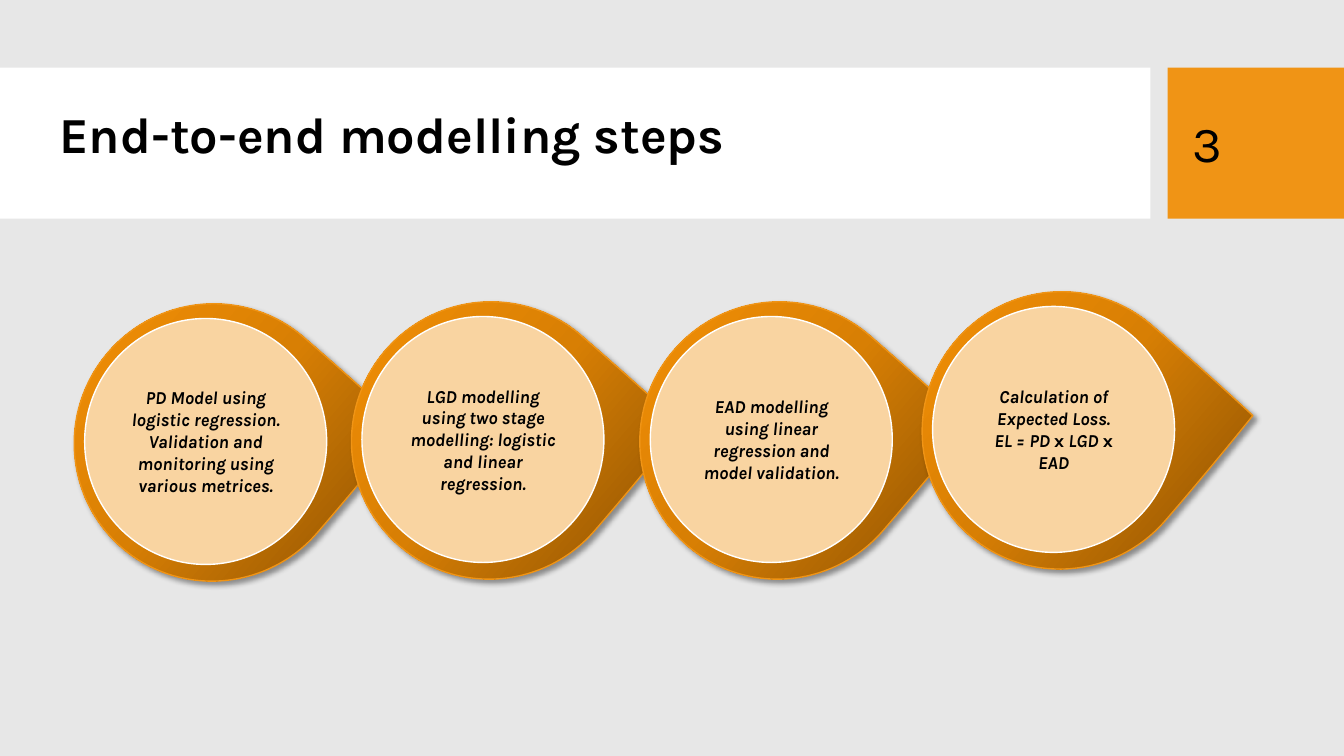
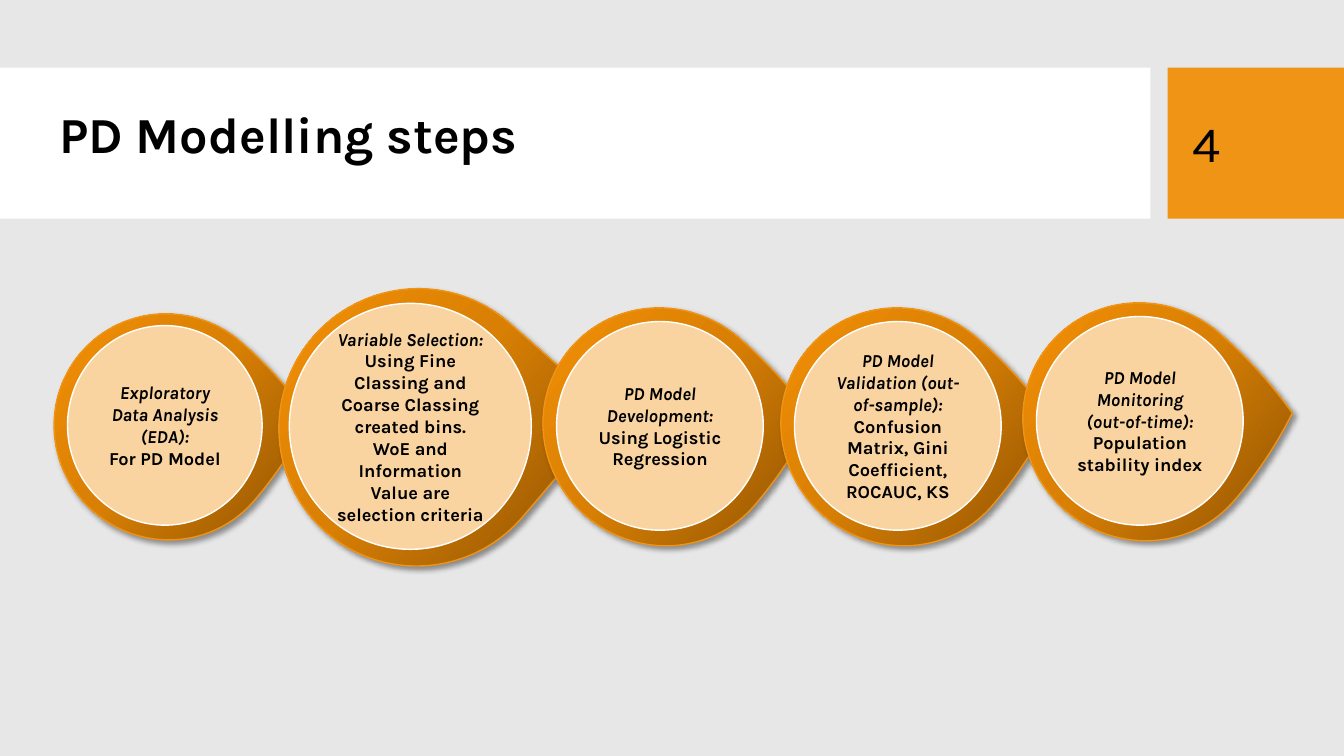
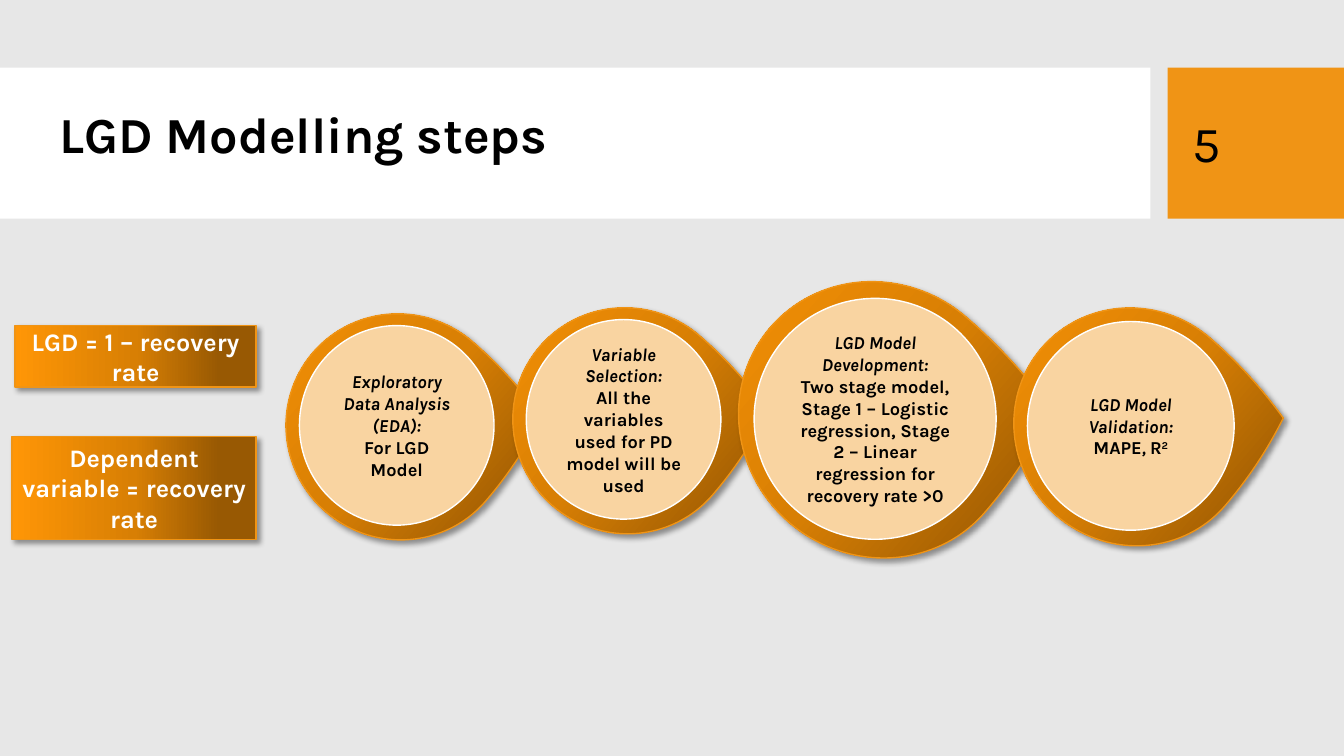
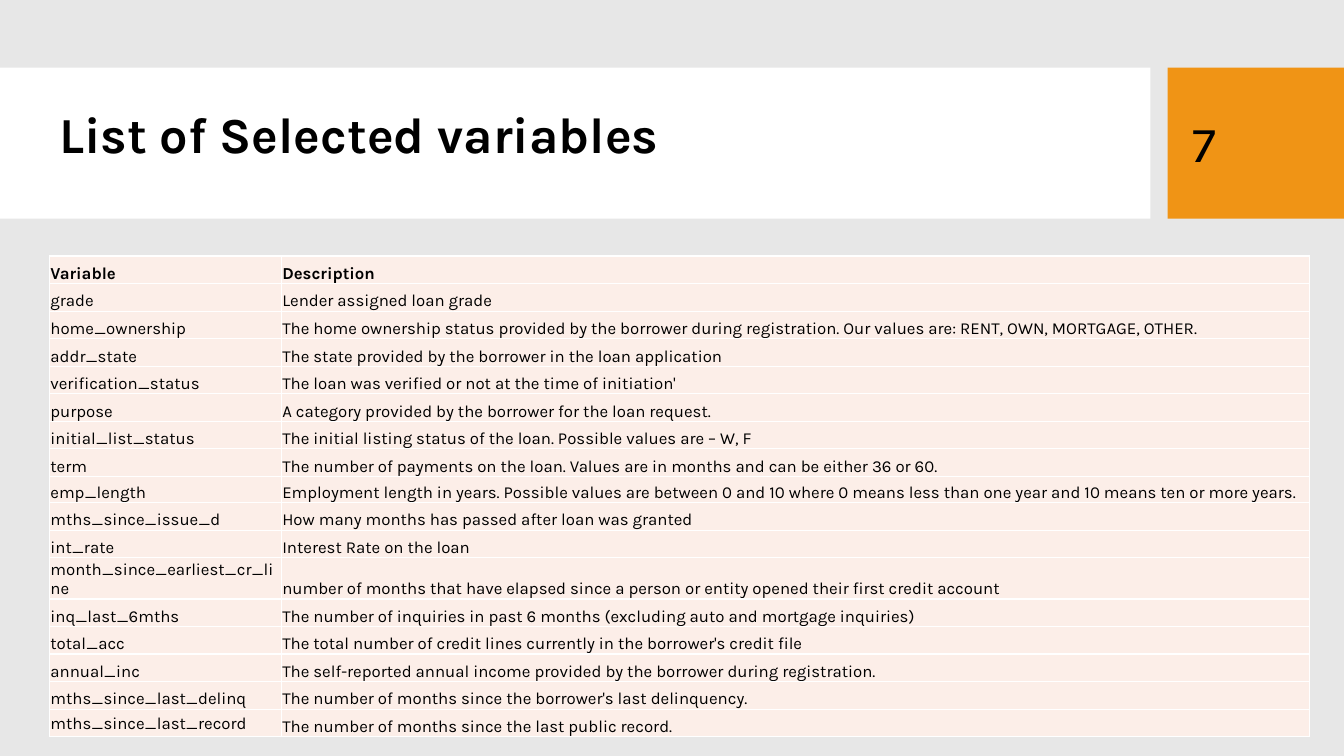
from copy import deepcopy

from lxml.etree import SubElement
from pptx import Presentation
from pptx.dml.color import RGBColor
from pptx.enum.shapes import MSO_SHAPE as Shape
from pptx.enum.text import MSO_ANCHOR as Anchor, PP_ALIGN as Align
from pptx.oxml.ns import qn
from pptx.util import Emu, Pt

EMU_PER_PX = 9144
FONT = "Karla"
BACKDROP, WHITE, BLACK = "E7E7E7", "FFFFFF", "000000"
ORANGE, PEACH, BLUSH = "F09415", "F9D4A1", "FCEEE8"
GRADIENT = [(0.15, "985903"), (0.5, "D87F04"), (1, "FF9606")]
DROP_TURN = 40.8
PLAIN, ITALIC, RAISED = "plain", "italic", "raised"

DROPS = {
    "tall": {"size": (274, 276), "tip": 0.983, "disc": (10, 15, 240, 244)},
    "small": {"size": (226, 223), "tip": 0.891, "disc": (14, 11, 193, 198)},
    "medium": {"size": (240, 233), "tip": 0.891, "disc": (15, 12, 205, 207)},
    "wide": {"size": (281, 269), "tip": 0.891, "disc": (18, 14, 240, 239)},
}


def step(heading, *details):
    return [[(heading, ITALIC)], *[[(detail, PLAIN)] for detail in details]]


FLOWS = [
    {
        "title": "End-to-end modelling steps",
        "number": 3,
        "labels": [],
        "steps": [
            ("tall", 74, 301, step("PD Model using logistic regression. Validation and monitoring using various metrices.")),
            ("tall", 349, 299, step("LGD modelling using two stage modelling: logistic and linear regression.")),
            ("tall", 635, 299, step("EAD modelling using linear regression and model validation.")),
            ("tall", 915, 289, [
                [("Calculation of Expected Loss.", ITALIC)],
                [("EL = PD ", ITALIC), ("x", PLAIN), (" LGD ", ITALIC), ("x", PLAIN), (" EAD", ITALIC)],
            ]),
        ],
    },
    {
        "title": "PD Modelling steps",
        "number": 4,
        "labels": [],
        "steps": [
            ("small", 53, 312, step("Exploratory Data Analysis (EDA):", "For PD Model")),
            ("tall", 277, 286, step(
                "Variable Selection:",
                "Using Fine Classing and Coarse Classing created bins. "
                "WoE and Information Value are selection criteria")),
            ("medium", 537, 307, step("PD Model Development:", "Using Logistic Regression")),
            ("medium", 773, 307, step(
                "PD Model Validation (out-of-sample):",
                "Confusion Matrix, Gini Coefficient, ROCAUC, KS")),
            ("medium", 1013, 302, [
                [("PD Model Monitoring", ITALIC)],
                *step("(out-of-time):", "Population stability index"),
            ]),
        ],
    },
    {
        "title": "LGD Modelling steps",
        "number": 5,
        "labels": [
            ((15, 323, 239, 61), "LGD = 1 – recovery rate"),
            ((12, 433, 242, 102), "Dependent variable = recovery rate"),
        ],
        "steps": [
            ("small", 283, 312, step("Exploratory Data Analysis (EDA):", "For LGD Model")),
            ("small", 508, 306, step("Variable Selection:", "All the variables used for PD model will be used")),
            ("wide", 730, 282, step(
                "LGD Model Development:",
                "Two stage model, Stage 1 – Logistic regression, "
                "Stage 2 – Linear regression for recovery rate >0")),
            ("medium", 1004, 307, [[
                ("LGD Model Validation: ", ITALIC), ("MAPE", PLAIN), (", ", ITALIC),
                ("R", PLAIN), ("2", RAISED),
            ]]),
        ],
    },
]

VARIABLES_TITLE, VARIABLES_NUMBER = "List of Selected variables", 7
VARIABLES = [
    ("Variable", "Description"),
    ("grade", "Lender assigned loan grade"),
    ("home_ownership", "The home ownership status provided by the borrower during registration. "
                       "Our values are: RENT, OWN, MORTGAGE, OTHER."),
    ("addr_state", "The state provided by the borrower in the loan application"),
    ("verification_status", "The loan was verified or not at the time of initiation'"),
    ("purpose", "A category provided by the borrower for the loan request."),
    ("initial_list_status", "The initial listing status of the loan. Possible values are – W, F"),
    ("term", "The number of payments on the loan. Values are in months and can be either 36 or 60."),
    ("emp_length", "Employment length in years. Possible values are between 0 and 10 where 0 means "
                   "less than one year and 10 means ten or more years."),
    ("mths_since_issue_d", "How many months has passed after loan was granted"),
    ("int_rate", "Interest Rate on the loan"),
    ("month_since_earliest_cr_line", "number of months that have elapsed since a person or entity "
                                     "opened their first credit account"),
    ("inq_last_6mths", "The number of inquiries in past 6 months (excluding auto and mortgage inquiries)"),
    ("total_acc", "The total number of credit lines currently in the borrower's credit file"),
    ("annual_inc", "The self-reported annual income provided by the borrower during registration."),
    ("mths_since_last_delinq", "The number of months since the borrower's last delinquency."),
    ("mths_since_last_record", "The number of months since the last public record."),
]
COLUMN_WIDTHS = [230, 1020]
TABLE_HEIGHT, ODD_HEIGHTS = 458, {8: 26, 11: 22}


def px(value):
    return Emu(round(value * EMU_PER_PX))


def rgb(code):
    return RGBColor.from_string(code)


def style_font(span, size, color=BLACK, bold=False, italic=False):
    font = span.font
    font.name, font.size, font.bold, font.italic = FONT, Pt(size), bold, italic
    font.color.rgb = rgb(color)


def add_shape(parent, kind, frame, fill=None, line=None):
    shape = parent.shapes.add_shape(kind, *map(px, frame))
    shape.shadow.inherit = False
    if fill:
        shape.fill.solid()
        shape.fill.fore_color.rgb = rgb(fill)
    if line:
        shape.line.color.rgb = rgb(line)
        shape.line.width = Pt(1)
    else:
        shape.line.fill.background()
    return shape


def add_glossy(parent, kind, frame):
    shape = add_shape(parent, kind, frame, line=ORANGE)
    shape.fill.gradient()
    shape.fill.gradient_angle = 180
    properties = shape._element.spPr
    stops = properties.find(".//" + qn("a:gsLst"))
    stops.append(deepcopy(stops[0]))
    for stop, (position, color) in zip(shape.fill.gradient_stops, GRADIENT):
        stop.position = position
        stop.color.rgb = rgb(color)
    shadow = SubElement(
        properties.find(qn("a:effectLst")), qn("a:outerShdw"),
        blurRad=str(Pt(4)), dist=str(Pt(3)), dir="2700000", algn="tl", rotWithShape="0")
    tint = SubElement(shadow, qn("a:srgbClr"), val=BLACK)
    SubElement(tint, qn("a:alpha"), val="40000")
    return shape


def write_centred(shape, paragraphs, size, color):
    frame = shape.text_frame
    frame.word_wrap = True
    frame.vertical_anchor = Anchor.MIDDLE
    for index, runs in enumerate(paragraphs):
        para = frame.add_paragraph() if index else frame.paragraphs[0]
        para.alignment = Align.CENTER
        for text, style in runs:
            span = para.add_run()
            span.text = text
            style_font(span, size, color, bold=True, italic=style == ITALIC)
            if style == RAISED:
                span.font._element.set("baseline", "30000")


def add_heading(page, frame, text, anchor, bold):
    box = page.shapes.add_textbox(*map(px, frame))
    box.text_frame.word_wrap = True
    box.text_frame.vertical_anchor = anchor
    box.text_frame.text = text
    style_font(box.text_frame.paragraphs[0].runs[0], 36, bold=bold)


def add_page(deck, title, number):
    page = deck.slides.add_slide(deck.slide_layouts[6])
    add_shape(page, Shape.RECTANGLE, (0, 67, 1141, 150), WHITE)
    add_shape(page, Shape.RECTANGLE, (1158, 67, 175, 150), ORANGE)
    add_heading(page, (1173, 82, 126, 119), str(number), Anchor.MIDDLE, False)
    add_heading(page, (49, 97, 1092, 71), title, Anchor.TOP, True)
    return page


def add_step(page, kind, left, top, paragraphs):
    drop = DROPS[kind]
    group = page.shapes.add_group_shape()
    tear = add_glossy(group, Shape.TEAR, (left, top, *drop["size"]))
    tear.adjustments[0] = drop["tip"]
    tear.rotation = DROP_TURN
    inset_x, inset_y, width, height = drop["disc"]
    disc = add_shape(group, Shape.OVAL, (left + inset_x, top + inset_y, width, height), PEACH, WHITE)
    write_centred(disc, paragraphs, 13, BLACK)


def add_flow(deck, flow):
    page = add_page(deck, flow["title"], flow["number"])
    for frame, text in flow["labels"]:
        write_centred(add_glossy(page, Shape.RECTANGLE, frame), [[(text, PLAIN)]], 18, WHITE)
    for entry in flow["steps"]:
        add_step(page, *entry)


def style_cell(cell, text, bold, anchor):
    cell.text_frame.text = text
    style_font(cell.text_frame.paragraphs[0].runs[0], 12, bold=bold)
    cell.vertical_anchor = anchor
    cell.margin_left = cell.margin_right = cell.margin_top = px(1)
    cell.margin_bottom = 0
    properties = cell._tc.get_or_add_tcPr()
    for side in ("L", "R", "T", "B"):
        border = SubElement(properties, qn(f"a:ln{side}"), w=str(Pt(1)))
        SubElement(SubElement(border, qn("a:solidFill")), qn("a:srgbClr"), val=WHITE)
    cell.fill.solid()
    cell.fill.fore_color.rgb = rgb(BLUSH)


def add_variables(deck):
    page = add_page(deck, VARIABLES_TITLE, VARIABLES_NUMBER)
    row_height = (TABLE_HEIGHT - sum(ODD_HEIGHTS.values())) / (len(VARIABLES) - len(ODD_HEIGHTS))
    frame = (49, 254, sum(COLUMN_WIDTHS), TABLE_HEIGHT)
    table = page.shapes.add_table(len(VARIABLES), len(COLUMN_WIDTHS), *map(px, frame)).table
    table.first_row = table.horz_banding = False
    for column, width in zip(table.columns, COLUMN_WIDTHS):
        column.width = px(width)
    last = len(VARIABLES) - 1
    for row, texts in enumerate(VARIABLES):
        table.rows[row].height = px(ODD_HEIGHTS.get(row, row_height))
        for column, text in enumerate(texts):
            anchor = Anchor.MIDDLE if (row, column) == (last, 0) else Anchor.BOTTOM
            style_cell(table.cell(row, column), text, row == 0, anchor)


def main():
    deck = Presentation()
    deck.slide_width, deck.slide_height = px(1333), px(750)
    backdrop = deck.slide_master.background.fill
    backdrop.solid()
    backdrop.fore_color.rgb = rgb(BACKDROP)
    for flow in FLOWS:
        add_flow(deck, flow)
    add_variables(deck)
    deck.save("out.pptx")


if __name__ == "__main__":
    main()
